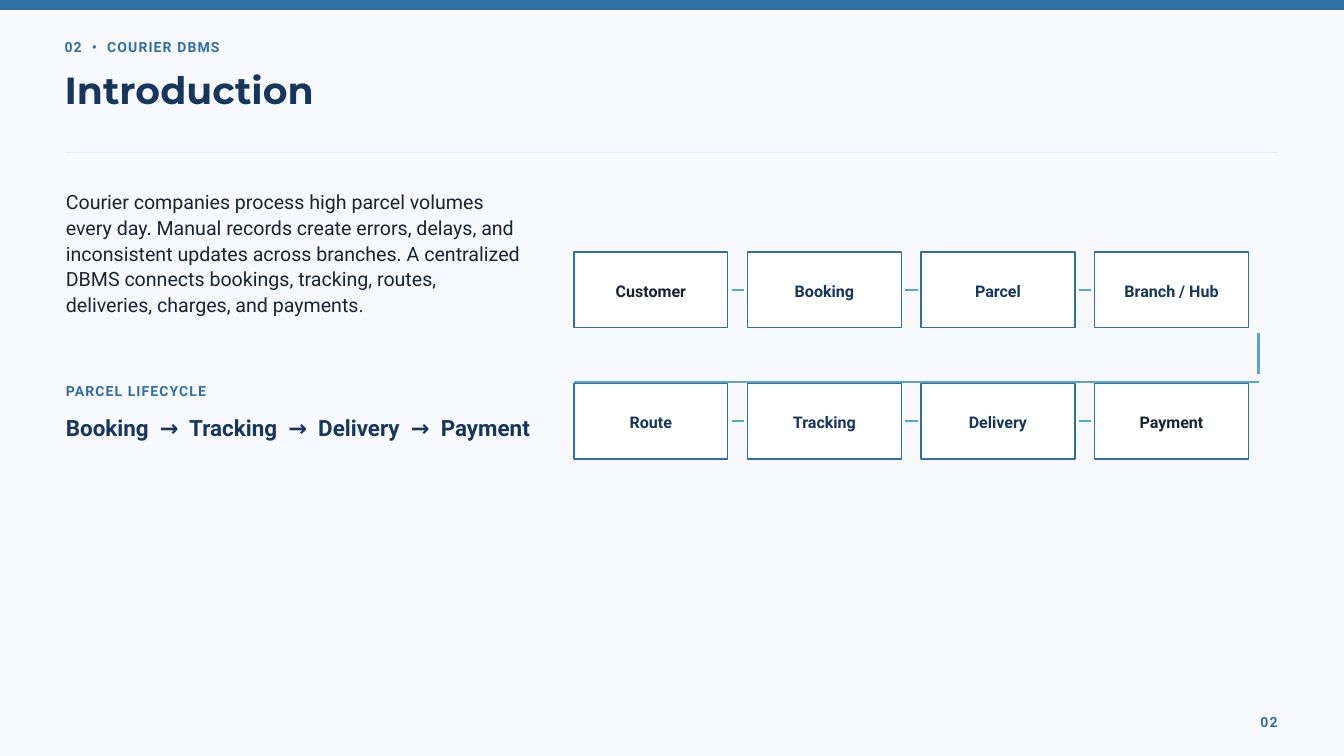
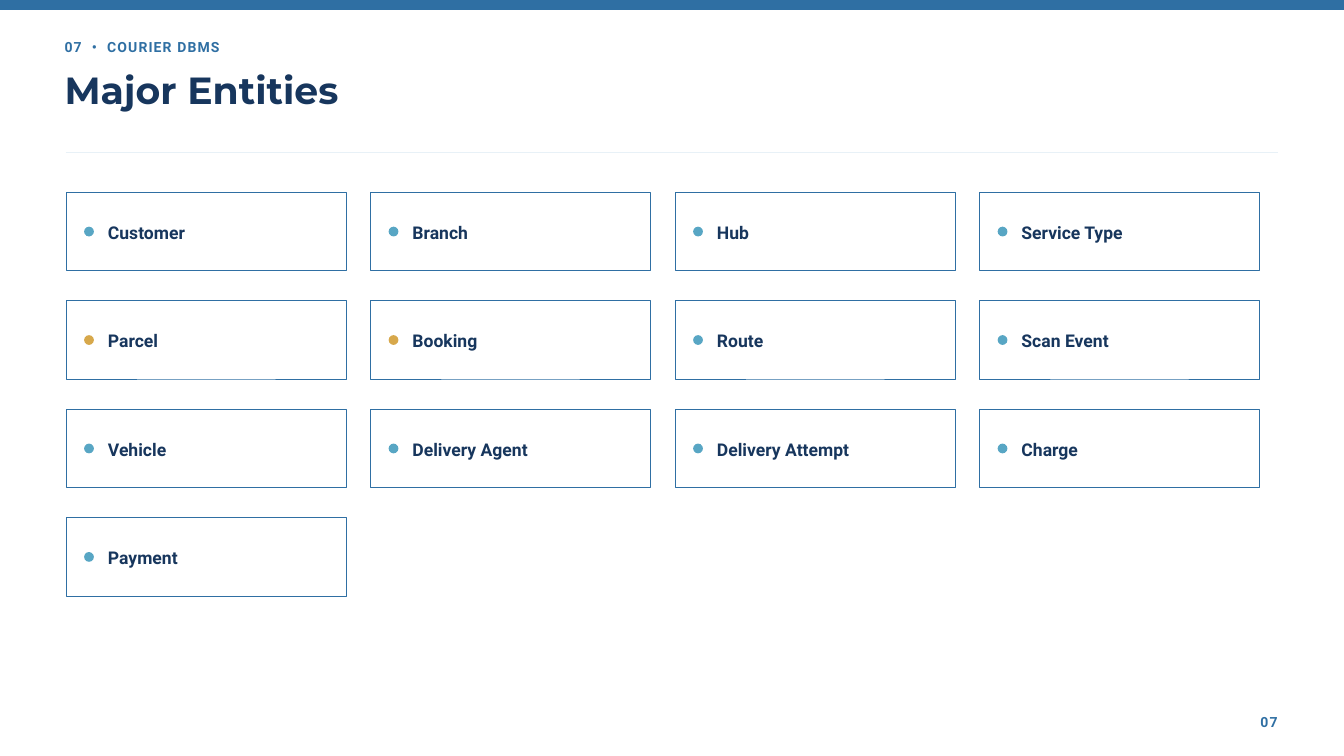
"""Build two slides on a courier database: its parcel flow and its entities."""
from dataclasses import dataclass
from typing import Iterator, NamedTuple

from lxml.etree import SubElement
from pptx import Presentation
from pptx.dml.color import RGBColor
from pptx.enum.shapes import MSO_CONNECTOR, MSO_SHAPE
from pptx.enum.text import MSO_ANCHOR, PP_ALIGN
from pptx.oxml.ns import qn
from pptx.shapes.autoshape import Shape
from pptx.slide import Slide
from pptx.text.text import TextFrame
from pptx.util import Cm, Pt


@dataclass(frozen=True)
class Type:
    """Describe one text style."""
    size: float
    lead: float
    color: str
    font: str = "Roboto"
    bold: bool = True
    track: int = 0
    align: PP_ALIGN = PP_ALIGN.LEFT


@dataclass(frozen=True)
class Theme:
    """Hold the shared colours and type styles."""
    blue: str = "2F6FA3"
    navy: str = "17365D"
    ink: str = "182433"
    sky: str = "58A6C4"
    gold: str = "D7A84B"
    white: str = "FFFFFF"
    mist: str = "F7F9FC"
    pale: str = "E8F1F7"
    label: Type = Type(15, 21, blue, track=120)
    page: Type = Type(15, 21, blue, track=120, align=PP_ALIGN.RIGHT)
    title: Type = Type(40.5, 44.5, navy, "Montserrat")
    body: Type = Type(21, 27.7, ink, bold=False)
    cycle: Type = Type(24, 33.6, navy)
    node: Type = Type(17.2, 24.1, navy, align=PP_ALIGN.CENTER)
    end: Type = Type(17.2, 24.1, ink, align=PP_ALIGN.CENTER)
    card: Type = Type(18.8, 26.2, navy)


class Box(NamedTuple):
    """Give a place and size in centimetres."""
    left: float
    top: float
    width: float
    height: float


class Grid(NamedTuple):
    """Repeat a first box at equal steps."""
    first: Box
    across: float
    down: float
    count: int = 4

    def cells(self, names: list[str]) -> Iterator[tuple[str, Box]]:
        """Yield each name with its box, row by row."""
        for place, name in enumerate(names):
            row, col = divmod(place, self.count)
            yield name, self.first._replace(
                left=self.first.left + col * self.across,
                top=self.first.top + row * self.down,
            )


THEME = Theme()
LEFT, RIGHT = 2.49, 48.31
FLOW = Grid(Box(21.69, 9.53, 5.82, 2.86), 6.56, 4.97)
CARDS = Grid(Box(LEFT, 7.26, 10.59, 2.97), 11.51, 4.1)
STEPS = ["Customer", "Booking", "Parcel", "Branch / Hub",
         "Route", "Tracking", "Delivery", "Payment"]
ITEMS = ["Customer", "Branch", "Hub", "Service Type",
         "Parcel", "Booking", "Route", "Scan Event",
         "Vehicle", "Delivery Agent", "Delivery Attempt", "Charge",
         "Payment"]


def write(frame: TextFrame, text: str, kind: Type, inset: float = 0) -> None:
    """Fill a frame with one styled paragraph."""
    frame.word_wrap = True
    frame.margin_left = Cm(inset)
    frame.margin_top = frame.margin_right = frame.margin_bottom = 0
    para = frame.paragraphs[0]
    para.text = text
    para.alignment = kind.align
    para.line_spacing = Pt(kind.lead)
    run = para.runs[0]
    run.font.name = kind.font
    run.font.size = Pt(kind.size)
    run.font.bold = kind.bold
    run.font.color.rgb = RGBColor.from_string(kind.color)
    if kind.track:
        run._r.get_or_add_rPr().set("spc", str(kind.track))


def add_text(slide: Slide, box: Box, text: str, kind: Type) -> None:
    """Add a text box."""
    area = slide.shapes.add_textbox(*map(Cm, box))
    write(area.text_frame, text, kind)


def add_shape(slide: Slide, box: Box, fill: str, edge: float = 0,
              form: MSO_SHAPE = MSO_SHAPE.RECTANGLE) -> Shape:
    """Add a flat shape, with a blue edge if a width is given."""
    shape = slide.shapes.add_shape(form, *map(Cm, box))
    shape.shadow.inherit = False
    shape.fill.solid()
    shape.fill.fore_color.rgb = RGBColor.from_string(fill)
    if edge:
        shape.line.color.rgb = RGBColor.from_string(THEME.blue)
        shape.line.width = Pt(edge)
    else:
        shape.line.fill.background()
    return shape


def add_panel(slide: Slide, box: Box, text: str, kind: Type,
              edge: float, inset: float = 0) -> None:
    """Add a white panel with text at mid height."""
    panel = add_shape(slide, box, THEME.white, edge)
    write(panel.text_frame, text, kind, inset)
    panel.text_frame.vertical_anchor = MSO_ANCHOR.MIDDLE
    panel.text_frame.margin_bottom = Cm(0.05)


def add_line(slide: Slide, start: tuple[float, float],
             stop: tuple[float, float], color: str, width: float) -> None:
    """Add a straight line without a shadow."""
    line = slide.shapes.add_connector(
        MSO_CONNECTOR.STRAIGHT, *map(Cm, start + stop))
    line.line.color.rgb = RGBColor.from_string(color)
    line.line.width = Pt(width)
    SubElement(line._element.spPr, qn("a:effectLst"))


def add_slide(deck: Presentation, page: str, title: str, back: str) -> Slide:
    """Add a slide with its band, heading, rule and page number."""
    slide = deck.slides.add_slide(deck.slide_layouts[6])
    slide.background.fill.solid()
    slide.background.fill.fore_color.rgb = RGBColor.from_string(back)
    add_shape(slide, Box(0, 0, 50.8, 0.38), THEME.blue)
    add_text(slide, Box(2.44, 1.35, 13.77, 0.71),
             f"{page}  •  COURIER DBMS", THEME.label)
    add_text(slide, Box(2.44, 2.67, 38.35, 1.57), title, THEME.title)
    add_line(slide, (LEFT, 5.77), (RIGHT, 5.77), THEME.pale, 1.5)
    add_text(slide, Box(46.02, 26.85, 2.27, 0.71), page, THEME.page)
    return slide


def draw_flow(slide: Slide) -> None:
    """Draw two rows of steps, their links and the turn between rows."""
    for place, (name, box) in enumerate(FLOW.cells(STEPS), 1):
        kind = THEME.end if place in (1, len(STEPS)) else THEME.node
        add_panel(slide, box, name, kind, 1.5)
        if place % FLOW.count:
            start = box.left + box.width + 0.14
            level = box.top + box.height / 2
            add_line(slide, (start, level), (start + 0.47, level),
                     THEME.sky, 2.25)
    turn, level = 47.57, 14.43
    add_line(slide, (turn, 12.57), (turn, 14.15), THEME.sky, 2.25)
    add_line(slide, (turn, level), (FLOW.first.left, level), THEME.sky, 2.25)


def draw_intro(deck: Presentation) -> None:
    """Build the opening slide."""
    slide = add_slide(deck, "02", "Introduction", THEME.mist)
    add_text(slide, Box(LEFT, 7.09, 17.2, 4.72),
             "Courier companies process high parcel volumes every day. "
             "Manual records create errors, delays, and inconsistent updates "
             "across branches. A centralized DBMS connects bookings, "
             "tracking, routes, deliveries, charges, and payments.",
             THEME.body)
    add_text(slide, Box(LEFT, 14.35, 13.23, 0.71),
             "PARCEL LIFECYCLE", THEME.label)
    add_text(slide, Box(LEFT, 15.47, 18.26, 1.12),
             "Booking  →  Tracking  →  Delivery  →  Payment", THEME.cycle)
    draw_flow(slide)


def draw_items(deck: Presentation) -> None:
    """Build the slide of entity cards."""
    slide = add_slide(deck, "07", "Major Entities", THEME.white)
    for name, box in CARDS.cells(ITEMS):
        add_panel(slide, box, name, THEME.card, 0.75, 1.59)
        color = THEME.gold if name in ("Parcel", "Booking") else THEME.sky
        dot = Box(box.left + 0.69, box.top + 1.31, 0.37, 0.37)
        add_shape(slide, dot, color, form=MSO_SHAPE.OVAL)


def main() -> None:
    """Build and save the deck."""
    deck = Presentation()
    deck.slide_width, deck.slide_height = Cm(50.8), Cm(28.58)
    draw_intro(deck)
    draw_items(deck)
    deck.save("out.pptx")


if __name__ == "__main__":
    main()
